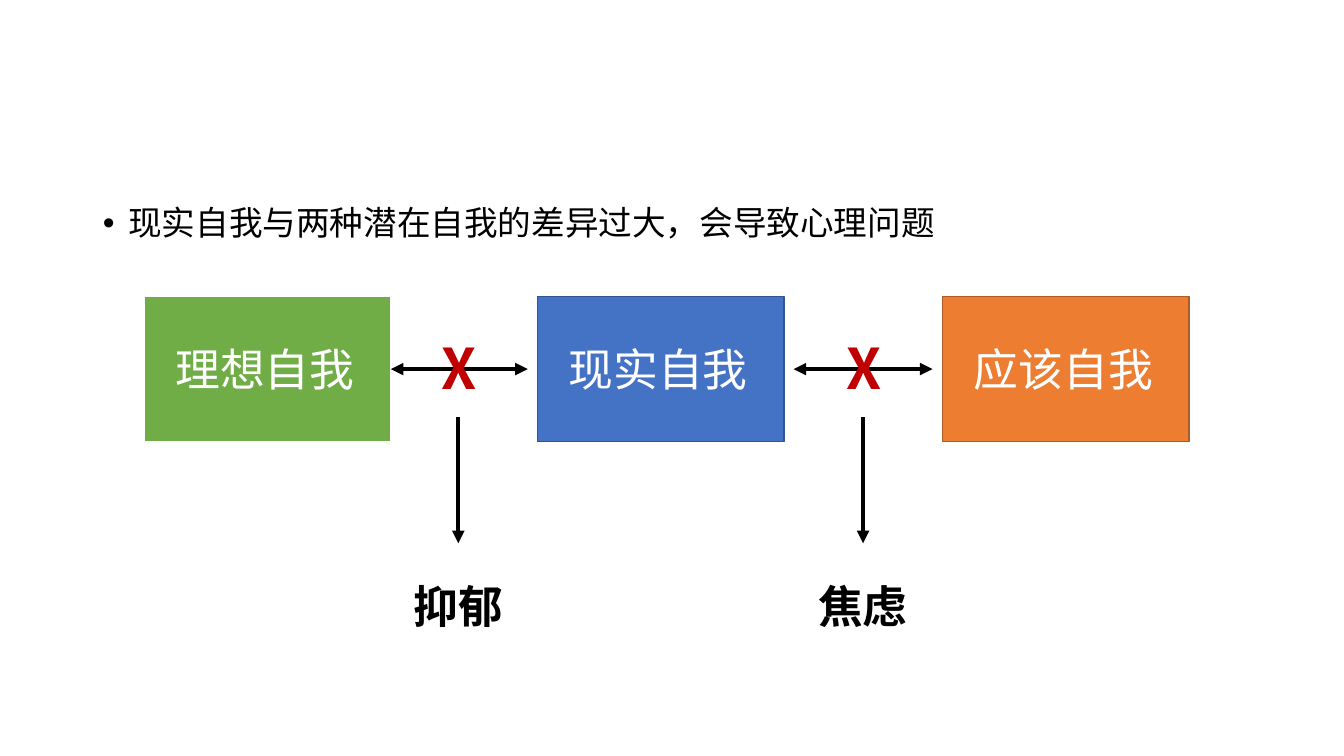
import pptx
import pptx.util
import pptx.dml.color
import pptx.enum.shapes
import pptx.enum.text
import pptx.oxml.ns
import lxml.etree

Cm = pptx.util.Cm
Pt = pptx.util.Pt
RGBColor = pptx.dml.color.RGBColor
ALIGN = pptx.enum.text.PP_ALIGN
ANCHOR = pptx.enum.text.MSO_ANCHOR
qn = pptx.oxml.ns.qn

FONT = "Noto Sans CJK SC"
BLACK = RGBColor(0x00, 0x00, 0x00)
WHITE = RGBColor(0xFF, 0xFF, 0xFF)
RED = RGBColor(0xC0, 0x00, 0x00)
GREEN = RGBColor(0x70, 0xAD, 0x47)
BLUE = RGBColor(0x44, 0x72, 0xC4)
DARK_BLUE = RGBColor(0x32, 0x54, 0x91)
ORANGE = RGBColor(0xED, 0x7D, 0x31)
DARK_ORANGE = RGBColor(0xAF, 0x5C, 0x24)

STATEMENT = "现实自我与两种潜在自我的差异过大，会导致心理问题"
SELVES = [
    ("理想自我", 3.63, GREEN, WHITE, 1.5),
    ("现实自我", 13.54, BLUE, DARK_BLUE, 1),
    ("应该自我", 23.75, ORANGE, DARK_ORANGE, 1),
]
CONFLICTS = [("抑郁", 11.55), ("焦虑", 21.75)]

BOX_TOP, BOX_WIDTH, BOX_HEIGHT = 7.47, 6.22, 3.66
BOX_MIDDLE = BOX_TOP + BOX_HEIGHT / 2
BOX_INSET = 0.79
ARROW_LENGTH = 3.5
DOWN_TOP, DOWN_BOTTOM = 10.52, 13.69
LABEL_TOP, LABEL_WIDTH, LABEL_HEIGHT = 14.45, 4.65, 1.63
CROSS_OFFSET, CROSS_TOP, CROSS_WIDTH, CROSS_HEIGHT = 0.67, 8.29, 1.02, 1.96


def write_text(shape, text, size=32, color=BLACK, bold=False,
               align=ALIGN.LEFT, anchor=ANCHOR.TOP, bullet=False):
    frame = shape.text_frame
    frame.word_wrap = True
    frame.vertical_anchor = anchor
    paragraph = frame.paragraphs[0]
    paragraph.alignment = align
    paragraph.space_before = Pt(0)
    if bullet:
        paragraph.line_spacing = 0.9
        properties = paragraph._p.get_or_add_pPr()
        properties.set("marL", str(Cm(0.64)))
        properties.set("indent", str(-Cm(0.64)))
        lxml.etree.SubElement(properties, qn("a:buFont")).set("typeface", "Arial")
        lxml.etree.SubElement(properties, qn("a:buChar")).set("char", "•")
    run = paragraph.add_run()
    run.text = text
    run.font.size = Pt(size)
    run.font.bold = bold
    run.font.color.rgb = color
    run.font.name = FONT
    east_asian = lxml.etree.SubElement(run._r.get_or_add_rPr(), qn("a:ea"))
    east_asian.set("typeface", FONT)


def add_text(slide, left, top, width, height, text, **text_format):
    box = slide.shapes.add_textbox(Cm(left), Cm(top), Cm(width), Cm(height))
    write_text(box, text, **text_format)


def add_self_box(slide, text, left, fill, line, line_width):
    box = slide.shapes.add_shape(
        pptx.enum.shapes.MSO_SHAPE.RECTANGLE,
        Cm(left), Cm(BOX_TOP), Cm(BOX_WIDTH), Cm(BOX_HEIGHT))
    box.shadow.inherit = False
    box.fill.solid()
    box.fill.fore_color.rgb = fill
    box.line.color.rgb = line
    box.line.width = Pt(line_width)
    box.text_frame.margin_left = Cm(BOX_INSET)
    box.text_frame.margin_right = 0
    write_text(box, text, color=WHITE, anchor=ANCHOR.MIDDLE)
    return box


def add_arrow(slide, start, end, ends):
    arrow = slide.shapes.add_connector(
        pptx.enum.shapes.MSO_CONNECTOR.STRAIGHT,
        Cm(start[0]), Cm(start[1]), Cm(end[0]), Cm(end[1]))
    arrow.line.color.rgb = BLACK
    arrow.line.width = Pt(3)
    line = arrow.line._get_or_add_ln()
    for name in ends:
        lxml.etree.SubElement(line, qn(name)).set("type", "triangle")
    lxml.etree.SubElement(arrow._element.spPr, qn("a:effectLst"))
    return arrow


def main():
    presentation = pptx.Presentation()
    presentation.slide_width = Cm(33.87)
    presentation.slide_height = Cm(19.05)
    slide = presentation.slides.add_slide(presentation.slide_layouts[1])
    title = slide.shapes.title
    title._element.getparent().remove(title._element)

    body = slide.placeholders[1]
    body.left, body.top, body.width, body.height = (
        Cm(2.34), Cm(5.08), Cm(29.21), Cm(12.09))
    write_text(body, STATEMENT, size=24, bullet=True)

    boxes = [add_self_box(slide, *item) for item in SELVES]

    gap_arrows = []
    for result, center in CONFLICTS:
        left = center - ARROW_LENGTH / 2
        gap_arrows.append(add_arrow(
            slide, (left, BOX_MIDDLE), (left + ARROW_LENGTH, BOX_MIDDLE),
            ["a:headEnd", "a:tailEnd"]))
        add_text(slide, center - CROSS_OFFSET, CROSS_TOP, CROSS_WIDTH,
                 CROSS_HEIGHT, "X", size=40, color=RED, bold=True)
        add_arrow(slide, (center, DOWN_TOP), (center, DOWN_BOTTOM), ["a:tailEnd"])
        add_text(slide, center - LABEL_WIDTH / 2, LABEL_TOP, LABEL_WIDTH,
                 LABEL_HEIGHT, result, bold=True, align=ALIGN.CENTER)
    gap_arrows[0].begin_connect(boxes[0], 3)

    presentation.save("out.pptx")


if __name__ == "__main__":
    main()
